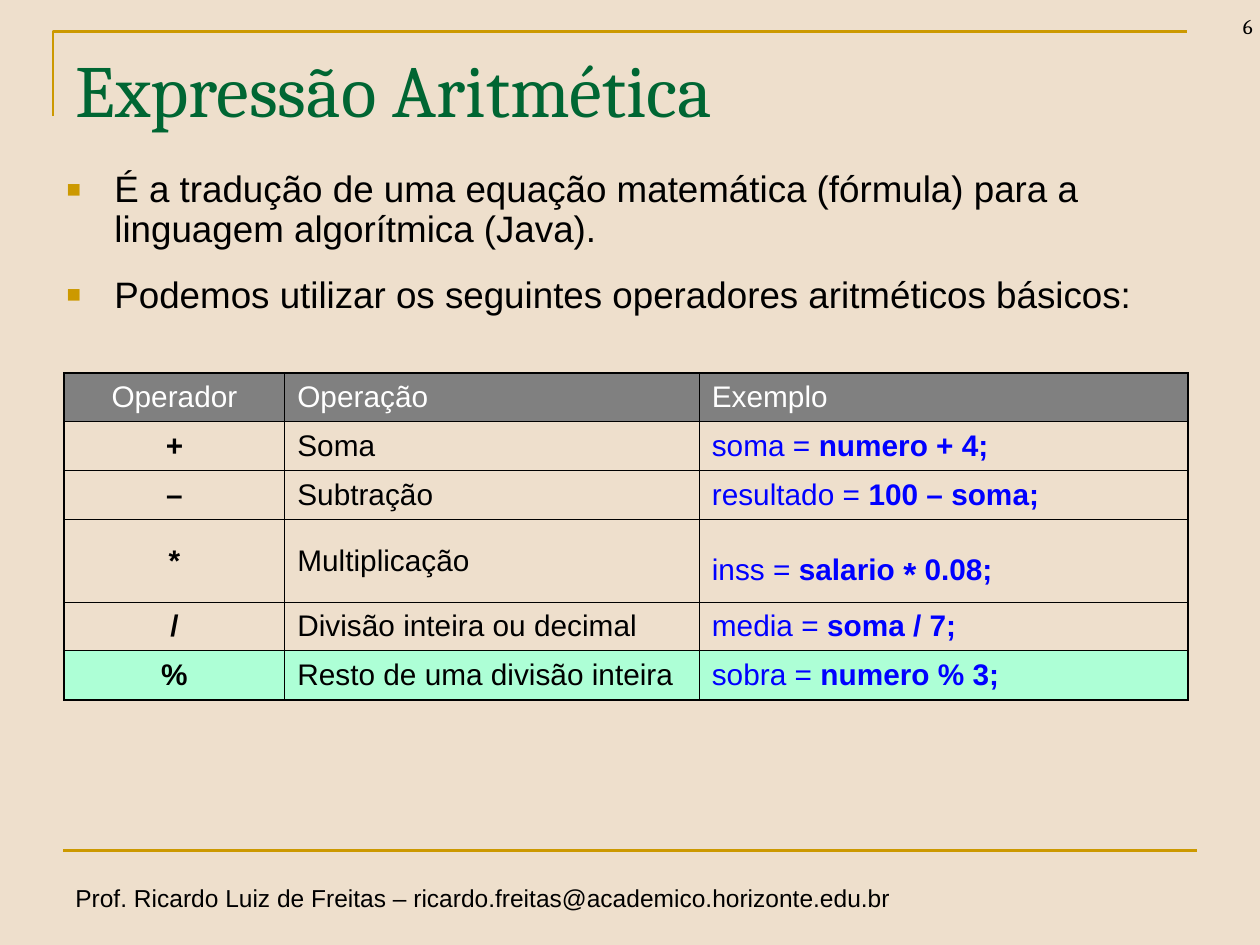
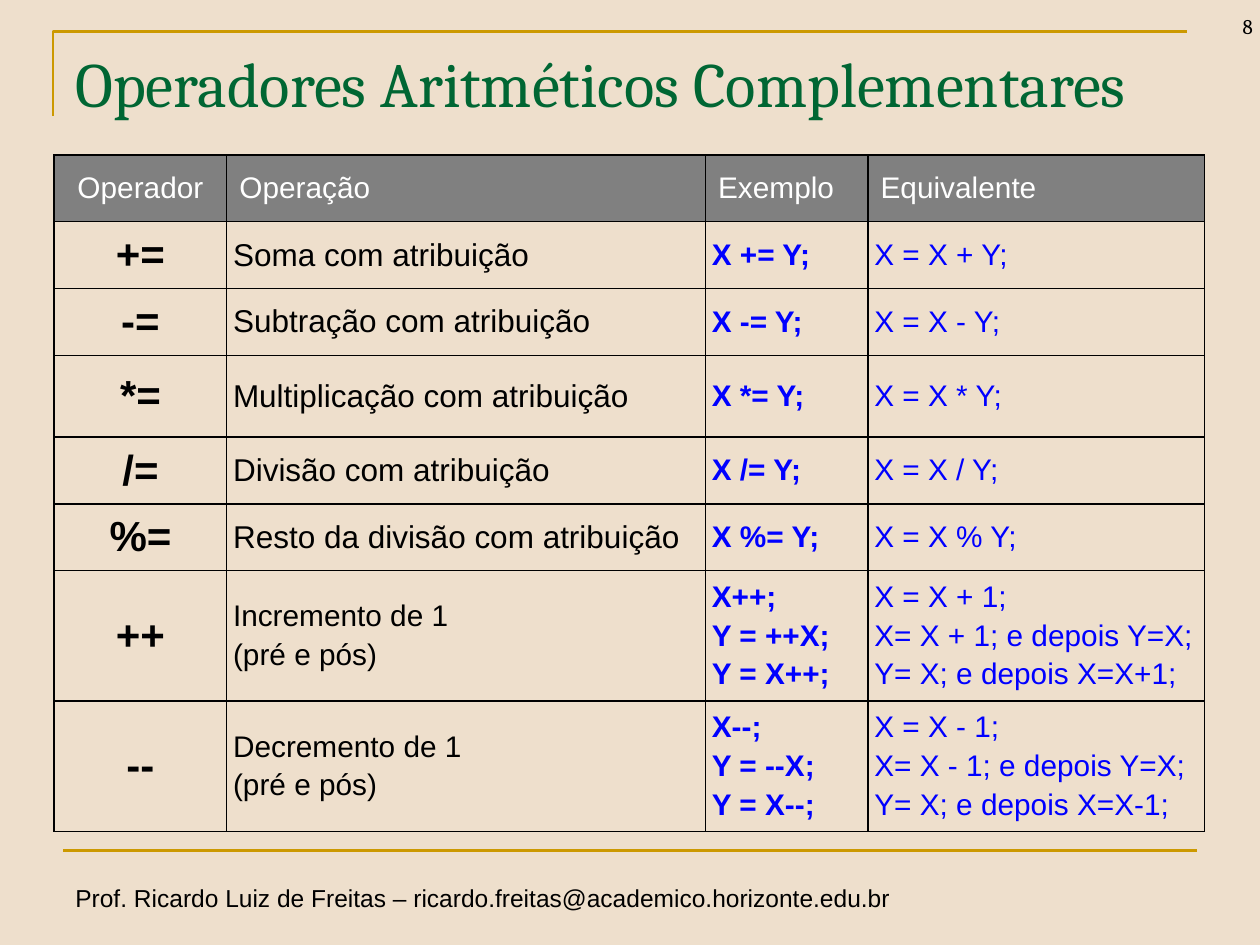
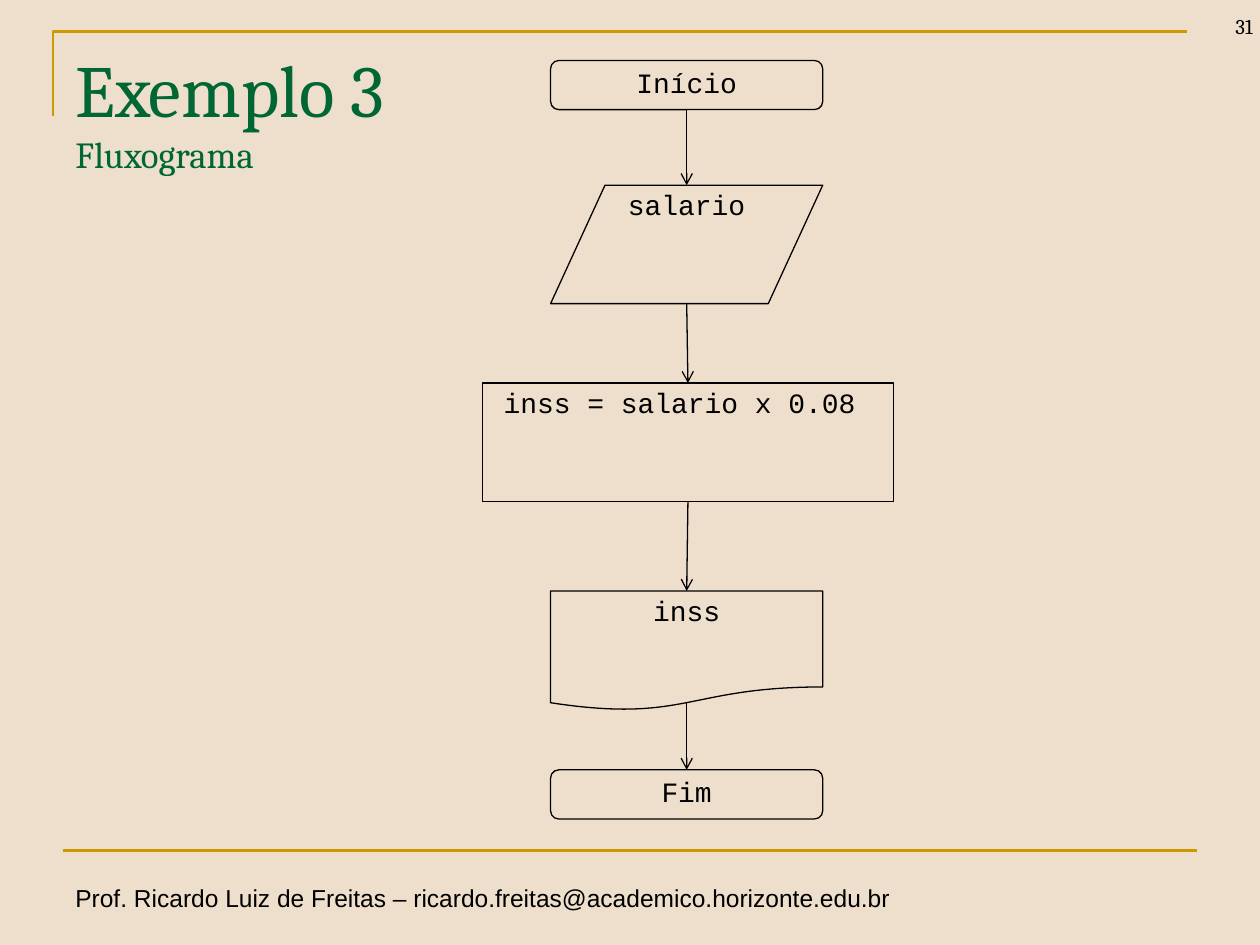
from dataclasses import dataclass

from lxml.etree import SubElement
from pptx import Presentation
from pptx.dml.color import RGBColor
from pptx.enum.shapes import MSO_CONNECTOR, MSO_SHAPE
from pptx.enum.text import MSO_ANCHOR, PP_ALIGN
from pptx.oxml.ns import qn
from pptx.shapes.connector import Connector
from pptx.slide import Slide
from pptx.table import _Cell
from pptx.text.text import TextFrame, _Paragraph
from pptx.util import Inches, Pt

SAND = RGBColor(0xEE, 0xDF, 0xCC)
GOLD = RGBColor(0xCC, 0x99, 0x00)
GREEN = RGBColor(0x00, 0x66, 0x33)
BLACK = RGBColor(0x00, 0x00, 0x00)
WHITE = RGBColor(0xFF, 0xFF, 0xFF)
GRAY = RGBColor(0x80, 0x80, 0x80)
BLUE = RGBColor(0x00, 0x00, 0xFF)
MINT = RGBColor(0xAD, 0xFF, 0xD6)

BODY_FONT = "Arial"
TITLE_FONT = "Cambria"
CODE_FONT = "Courier New"
FOOTER = "Prof. Ricardo Luiz de Freitas – ricardo.freitas@academico.horizonte.edu.br"


@dataclass(frozen=True)
class Run:
    text: str
    size: float = 17
    color: RGBColor = BLACK
    bold: bool = False
    font: str = BODY_FONT
    baseline: int = 0


@dataclass(frozen=True)
class CellText:
    paragraphs: list[list[Run]]
    centered: bool = False
    fill: RGBColor | None = None
    margin: float = 0.1


@dataclass(frozen=True)
class FlowStep:
    """A flowchart box; exit_depth is where its arrow leaves, below its top."""
    text: str
    kind: MSO_SHAPE
    left: float
    top: float
    width: float
    height: float
    exit_depth: float
    joins_top: bool = True
    joins_bottom: bool = True

    @property
    def center(self) -> float:
        return self.left + self.width / 2


def add_run(paragraph: _Paragraph, spec: Run) -> None:
    run = paragraph.add_run()
    run.text = spec.text
    run.font.name = spec.font
    run.font.size = Pt(spec.size)
    run.font.bold = spec.bold
    run.font.color.rgb = spec.color
    if spec.baseline:
        run.font._element.set("baseline", str(spec.baseline * 1000))


def add_text_box(slide: Slide, left: float, top: float, width: float, height: float,
                 wrap: bool = True) -> TextFrame:
    box = slide.shapes.add_textbox(Inches(left), Inches(top), Inches(width), Inches(height))
    box.text_frame.word_wrap = wrap
    return box.text_frame


def add_line(slide: Slide, start: tuple[float, float], end: tuple[float, float],
             color: RGBColor, width: float) -> Connector:
    points = [Inches(value) for value in (*start, *end)]
    connector = slide.shapes.add_connector(MSO_CONNECTOR.STRAIGHT, *points)
    connector.line.color.rgb = color
    connector.line.width = Pt(width)
    SubElement(connector._element.spPr, qn("a:effectLst"))
    return connector


def add_corner_line(slide: Slide) -> None:
    builder = slide.shapes.build_freeform(Inches(0.42), Inches(0.92))
    builder.add_line_segments(
        [(Inches(0.42), Inches(0.25)), (Inches(9.42), Inches(0.25))], close=False)
    corner = builder.convert_to_shape()
    corner.shadow.inherit = False
    corner.fill.background()
    corner.line.color.rgb = GOLD
    corner.line.width = Pt(1.5)


def add_framed_slide(presentation: Presentation, number: int, title: str,
                     title_size: float = 42, subtitle: str = "") -> Slide:
    slide = presentation.slides.add_slide(presentation.slide_layouts[6])
    add_corner_line(slide)
    add_line(slide, (0.5, 6.75), (9.5, 6.75), GOLD, 1.5)

    footer = add_text_box(slide, 0.5, 6.96, 6.86, 0.34, wrap=False)
    add_run(footer.paragraphs[0], Run(FOOTER, 14))

    page_number = add_text_box(slide, 9.29, -0.14, 0.75, 0.5)
    page_number.vertical_anchor = MSO_ANCHOR.BOTTOM
    page_number.paragraphs[0].alignment = PP_ALIGN.RIGHT
    add_run(page_number.paragraphs[0], Run(str(number), 12, font=TITLE_FONT))

    heading = add_text_box(slide, 0.5, 0.3, 9, 1.25).paragraphs[0]
    add_run(heading, Run(title, title_size, GREEN, font=TITLE_FONT))
    if subtitle:
        heading.add_line_break()
        add_run(heading, Run(subtitle, 21, GREEN, font=TITLE_FONT))
    return slide


def add_bullets(slide: Slide, texts: list[str]) -> None:
    frame = add_text_box(slide, 0.43, 1.31, 9, 1.52)
    for index, text in enumerate(texts):
        paragraph = frame.add_paragraph() if index else frame.paragraphs[0]
        paragraph.line_spacing = 0.9
        paragraph.space_before = Pt(4.2)
        paragraph.space_after = Pt(10.5)
        properties = paragraph._p.get_or_add_pPr()
        properties.set("marL", str(Inches(0.38)))
        properties.set("indent", str(Inches(-0.38)))
        bullet_color = SubElement(properties, qn("a:buClr"))
        SubElement(bullet_color, qn("a:srgbClr"), val=str(GOLD))
        SubElement(properties, qn("a:buSzPct"), val="65000")
        SubElement(properties, qn("a:buFont"), typeface=BODY_FONT)
        SubElement(properties, qn("a:buChar"), char="■")
        add_run(paragraph, Run(text, 21))


def set_borders(cell: _Cell) -> None:
    properties = cell._tc.get_or_add_tcPr()
    for side in ("lnL", "lnR", "lnT", "lnB"):
        line = SubElement(properties, qn(f"a:{side}"), w=str(Pt(1)))
        fill = SubElement(line, qn("a:solidFill"))
        SubElement(fill, qn("a:srgbClr"), val=str(BLACK))


def fill_cell(cell: _Cell, content: CellText) -> None:
    set_borders(cell)
    if content.fill is None:
        cell.fill.background()
    else:
        cell.fill.solid()
        cell.fill.fore_color.rgb = content.fill
    cell.vertical_anchor = MSO_ANCHOR.MIDDLE
    cell.margin_left = cell.margin_right = Inches(content.margin)
    cell.margin_top = cell.margin_bottom = Inches(0.05)
    for index, runs in enumerate(content.paragraphs):
        frame = cell.text_frame
        paragraph = frame.add_paragraph() if index else frame.paragraphs[0]
        paragraph.alignment = PP_ALIGN.CENTER if content.centered else PP_ALIGN.LEFT
        paragraph.space_before = Pt(3)
        for run in runs:
            add_run(paragraph, run)


def add_grid(slide: Slide, left: float, top: float, widths: list[float],
             heights: list[float], rows: list[list[CellText]]) -> None:
    frame = slide.shapes.add_table(len(rows), len(widths), Inches(left), Inches(top),
                                   Inches(sum(widths)), Inches(sum(heights)))
    table = frame.table
    table.first_row = table.horz_banding = False
    for column, width in zip(table.columns, widths):
        column.width = Inches(width)
    for row, height, contents in zip(table.rows, heights, rows):
        row.height = Inches(height)
        for cell, content in zip(row.cells, contents):
            fill_cell(cell, content)


def header_row(*labels: str) -> list[CellText]:
    return [CellText([[Run(label, color=WHITE)]], centered=index == 0, fill=GRAY)
            for index, label in enumerate(labels)]


def basic_row(operator: str, operation: str, target: str, *expression: Run,
              fill: RGBColor | None = None) -> list[CellText]:
    return [
        CellText([[Run(operator, bold=True)]], centered=True, fill=fill),
        CellText([[Run(operation)]], fill=fill),
        CellText([[Run(f"{target} = ", color=BLUE), *expression]], fill=fill),
    ]


def compound_row(operator: str, operation: list[str], examples: list[str],
                 equivalents: list[str]) -> list[CellText]:
    operation_size = 18 if len(operation) == 1 else 17
    columns = [
        [Run(operator, 24, bold=True)],
        [Run(text, operation_size) for text in operation],
        [Run(text, color=BLUE, bold=True) for text in examples],
        [Run(text, color=BLUE) for text in equivalents],
    ]
    return [CellText([[run] for run in runs], centered=index == 0, margin=0.05)
            for index, runs in enumerate(columns)]


def assignment_row(symbol: str, operation: str) -> list[CellText]:
    return compound_row(f"{symbol}=", [f"{operation} com atribuição"],
                        [f"X {symbol}= Y;"], [f"X = X {symbol} Y;"])


def step_row(symbol: str, operation: str) -> list[CellText]:
    """Row for the increment or decrement operator, in its prefix and postfix forms."""
    double = symbol * 2
    return compound_row(
        double, [f"{operation} de 1", "(pré e pós)"],
        [f"X{double};", f"Y = {double}X;", f"Y = X{double};"],
        [f"X = X {symbol} 1;", f"X= X {symbol} 1; e depois Y=X;",
         f"Y= X; e depois X=X{symbol}1;"])


def add_flowchart(slide: Slide, steps: list[FlowStep]) -> None:
    shapes = []
    for step in steps:
        shape = slide.shapes.add_shape(step.kind, Inches(step.left), Inches(step.top),
                                       Inches(step.width), Inches(step.height))
        shape.shadow.inherit = False
        shape.fill.background()
        shape.line.color.rgb = BLACK
        shape.line.width = Pt(0.75)
        shape.text_frame.vertical_anchor = MSO_ANCHOR.TOP
        paragraph = shape.text_frame.paragraphs[0]
        paragraph.alignment = PP_ALIGN.CENTER
        paragraph.line_spacing = 0.9
        paragraph.space_before = Pt(3.2)
        add_run(paragraph, Run(step.text, 16, font=CODE_FONT))
        shapes.append(shape)

    for index, (step, following) in enumerate(zip(steps, steps[1:])):
        arrow = add_line(slide, (step.center, step.top + step.exit_depth),
                         (following.center, following.top), BLACK, 0.75)
        SubElement(arrow.line._get_or_add_ln(), qn("a:tailEnd"), type="arrow")
        if step.joins_bottom:
            arrow.begin_connect(shapes[index], 2)
        if following.joins_top:
            arrow.end_connect(shapes[index + 1], 0)


def build_basic_operators(presentation: Presentation) -> None:
    slide = add_framed_slide(presentation, 6, "Expressão Aritmética")
    add_bullets(slide, [
        "É a tradução de uma equação matemática (fórmula) para a linguagem algorítmica (Java).",
        "Podemos utilizar os seguintes operadores aritméticos básicos:",
    ])

    def code(text: str, size: float = 17, baseline: int = 0) -> Run:
        return Run(text, size, BLUE, bold=True, baseline=baseline)

    add_grid(slide, 0.51, 2.96, [1.75, 3.29, 3.88], [0.36, 0.39, 0.39, 0.61, 0.36, 0.39], [
        header_row("Operador", "Operação", "Exemplo"),
        basic_row("+", "Soma", "soma", code("numero + 4;")),
        basic_row("–", "Subtração", "resultado", code("100 – soma;")),
        basic_row("*", "Multiplicação", "inss",
                  code("salario "), code("*", 33, -10), code(" 0.08;")),
        basic_row("/", "Divisão inteira ou decimal", "media", code("soma / 7;")),
        basic_row("%", "Resto de uma divisão inteira", "sobra", code("numero % 3;"), fill=MINT),
    ])


def build_compound_operators(presentation: Presentation) -> None:
    slide = add_framed_slide(presentation, 8, "Operadores Aritméticos Complementares", 36)
    heights = [0.53] * 3 + [0.65] + [0.53] * 2 + [0.99] * 2
    add_grid(slide, 0.43, 1.23, [1.37, 3.8, 1.29, 2.67], heights, [
        header_row("Operador", "Operação", "Exemplo", "Equivalente"),
        assignment_row("+", "Soma"),
        assignment_row("-", "Subtração"),
        assignment_row("*", "Multiplicação"),
        assignment_row("/", "Divisão"),
        assignment_row("%", "Resto da divisão"),
        step_row("+", "Incremento"),
        step_row("-", "Decremento"),
    ])


def build_flowchart(presentation: Presentation) -> None:
    slide = add_framed_slide(presentation, 31, "Exemplo 3 ", subtitle="Fluxograma")
    terminal = MSO_SHAPE.FLOWCHART_ALTERNATE_PROCESS
    add_flowchart(slide, [
        FlowStep("Início", terminal, 4.37, 0.48, 2.16, 0.39, 0.39),
        FlowStep("salario", MSO_SHAPE.FLOWCHART_DATA, 4.37, 1.47, 2.16, 0.94, 0.94,
                 joins_top=False, joins_bottom=False),
        FlowStep("inss = salario x 0.08 ", MSO_SHAPE.FLOWCHART_PROCESS,
                 3.83, 3.04, 3.26, 0.94, 0.94),
        FlowStep("inss", MSO_SHAPE.FLOWCHART_DOCUMENT, 4.37, 4.69, 2.16, 0.95, 0.89,
                 joins_bottom=False),
        FlowStep("Fim", terminal, 4.37, 6.11, 2.16, 0.39, 0.39),
    ])


def main() -> None:
    presentation = Presentation()
    presentation.slide_width = Inches(10)
    presentation.slide_height = Inches(7.5)
    background = presentation.slide_master.background.fill
    background.solid()
    background.fore_color.rgb = SAND
    build_basic_operators(presentation)
    build_compound_operators(presentation)
    build_flowchart(presentation)
    presentation.save("out.pptx")


if __name__ == "__main__":
    main()
